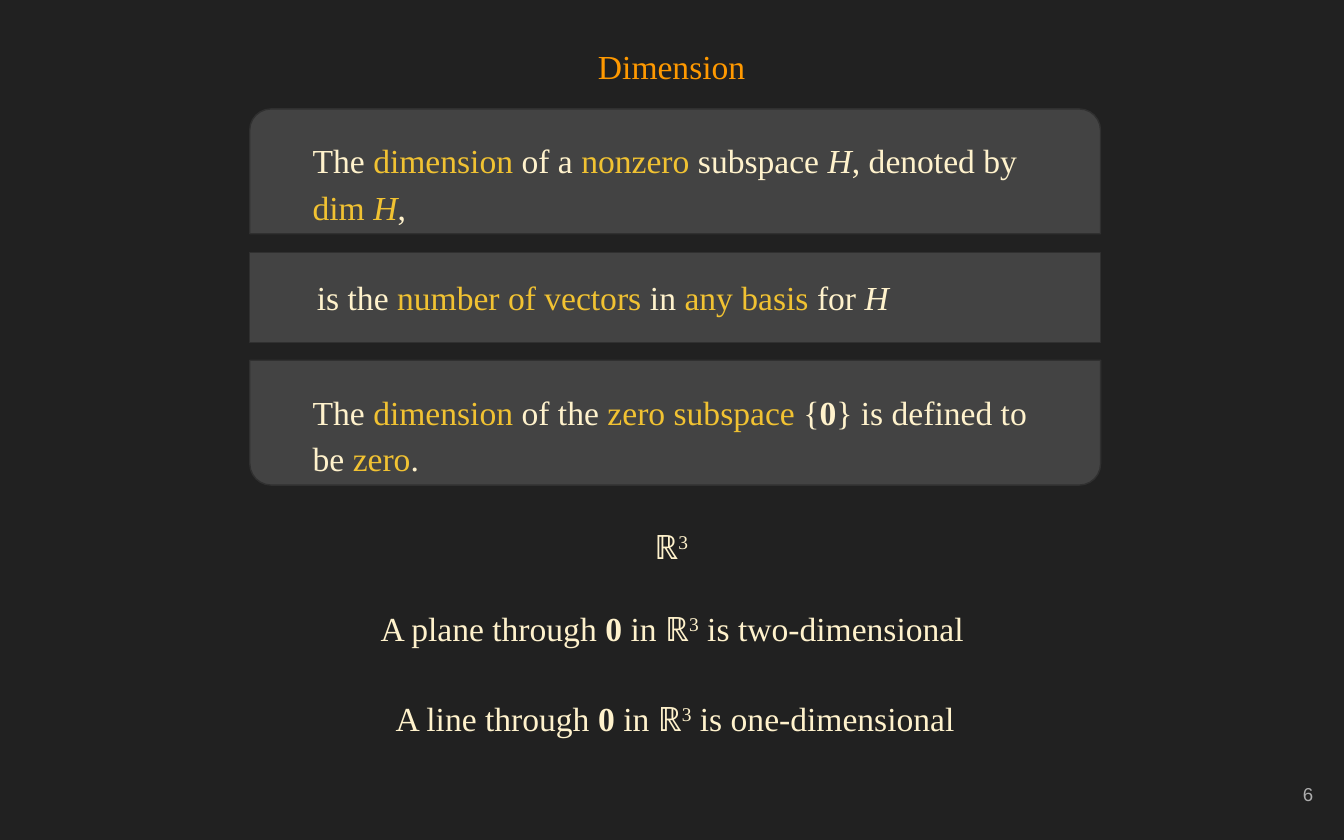
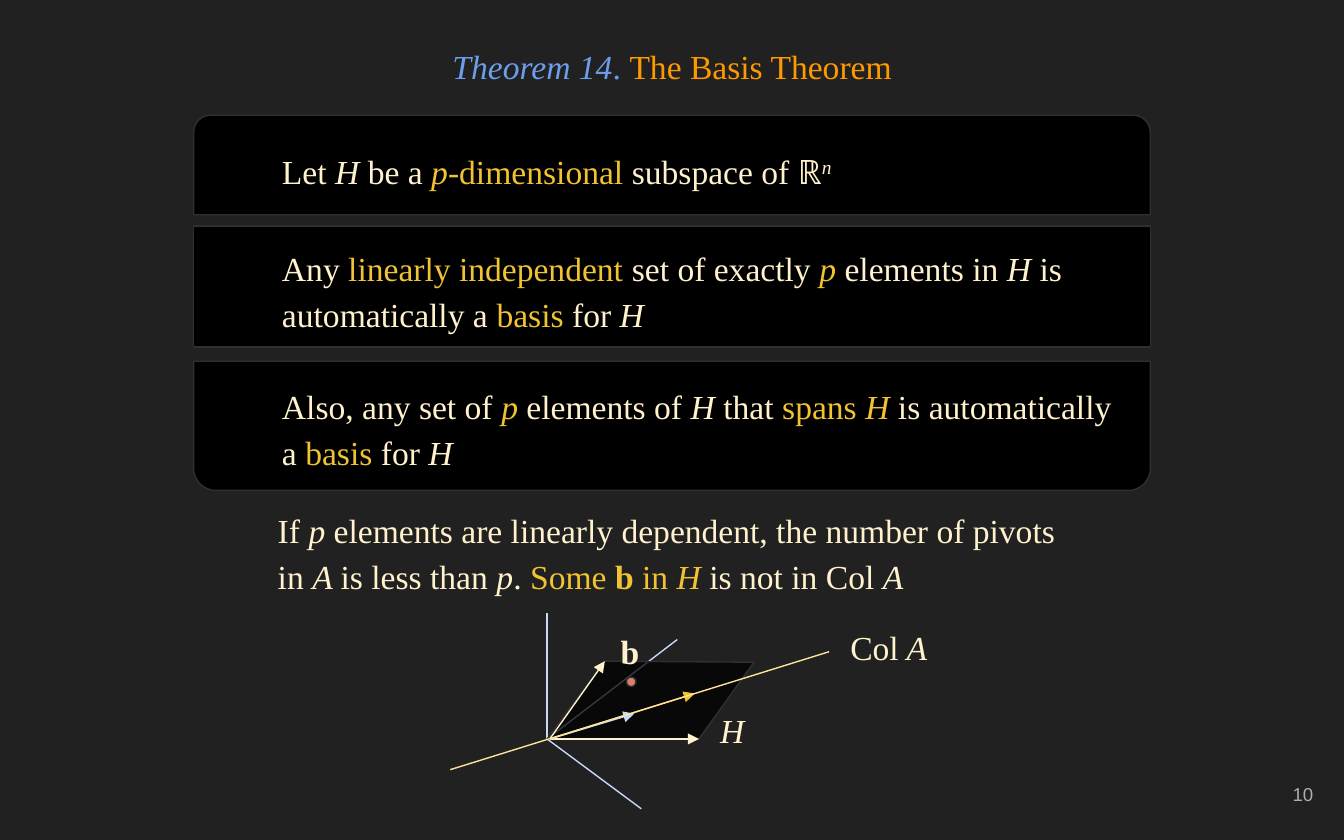
from lxml import etree
from pptx import Presentation
from pptx.dml.color import RGBColor
from pptx.enum.shapes import MSO_CONNECTOR, MSO_SHAPE
from pptx.enum.text import MSO_ANCHOR, PP_ALIGN
from pptx.oxml.ns import qn
from pptx.util import Cm, Pt

LEFT, CENTER, RIGHT = PP_ALIGN.LEFT, PP_ALIGN.CENTER, PP_ALIGN.RIGHT
TOP, MIDDLE = MSO_ANCHOR.TOP, MSO_ANCHOR.MIDDLE
RECTANGLE, OVAL = MSO_SHAPE.RECTANGLE, MSO_SHAPE.OVAL
ROUND_TOP = MSO_SHAPE.ROUND_2_SAME_RECTANGLE
STRAIGHT = MSO_CONNECTOR.STRAIGHT

COLORS = {
    "background": "212121", "number": "ADADAD", "title": "FF9900",
    "theorem": "6D9EEB", "text": "FFF2CC", "key": "F1C232",
    "gray": "434343", "black": "000000", "outline": "303030",
    "axis": "C9DAF8", "span": "FFE599", "dot": "DD7E6B",
}
# One letter per trait of a run: a colour, or italic, bold, superscript
RUN_COLORS = {"k": "key", "t": "title", "h": "theorem"}
BLANK = 6

# Lengths are in centimetres; boxes are left, top, width, height.
# A band is top, height, text box, runs.
DIMENSION = {
    "number": "6",
    "title": ((0.86, 0.51, 23.67, 1.22), [("Dimension", "t")]),
    "title_style": {},
    "band_fill": "gray",
    "band_left": 4.72,
    "band_width": 16.08,
    "bands": [
        (2.06, 2.36, (5.66, 2.29, 14.07, 1.7), [
            ("The ", ""), ("dimension ", "k"), ("of a ", ""), ("nonzero ", "k"),
            ("subspace ", ""), ("H", "i"), (", denoted by ", ""),
            ("dim ", "k"), ("H", "ki"), (",", "")]),
        (4.78, 1.7, (5.74, 4.88, 14.07, 1.7), [
            ("is the ", ""), ("number of vectors", "k"), (" in ", ""),
            ("any basis", "k"), (" for ", ""), ("H", "i")]),
        (6.81, 2.36, (5.66, 7.04, 14.07, 1.7), [
            ("The ", ""), ("dimension ", "k"), ("of the ", ""),
            ("zero subspace", "k"), (" {", ""), ("0", "b"),
            ("} is defined to be ", ""), ("zero", "k"), (".", "")]),
    ],
    "notes": [
        ((12.12, 9.58, 1.32, 1.7), LEFT, [("ℝ", ""), ("3", "s")]),
        ((6.71, 11.13, 11.99, 1.7), CENTER, [
            ("A plane through ", ""), ("0", "b"), (" in ℝ", ""), ("3", "s"),
            (" is two-dimensional", "")]),
        ((5.51, 12.83, 14.5, 1.7), CENTER, [
            ("A line through ", ""), ("0", "b"), (" in ℝ", ""), ("3", "s"),
            (" is one-dimensional", "")]),
    ],
}

BASIS_THEOREM = {
    "number": "10",
    "title": ((3.51, 0.51, 18.39, 1.47), [
        ("Theorem 14", "hi"), (". ", "h"), ("The Basis Theorem", "t")]),
    "title_style": {"anchor": MIDDLE, "spacing": 1.0},
    "band_fill": "black",
    "band_left": 3.66,
    "band_width": 18.08,
    "bands": [
        (2.18, 1.88, (5.08, 2.49, 11.4, 1.7), [
            ("Let ", ""), ("H", "i"), (" be a ", ""), ("p", "ki"),
            ("-dimensional", "k"), (" subspace of ℝ", ""), ("n", "is")]),
        (4.27, 2.29, (5.08, 4.32, 15.44, 1.7), [
            ("Any ", ""), ("linearly independent", "k"),
            (" set of exactly ", ""), ("p", "ki"), (" elements in ", ""),
            ("H", "i"), (" is automatically a ", ""), ("basis", "k"),
            (" for ", ""), ("H", "i")]),
        (6.83, 2.44, (5.08, 6.93, 16.23, 1.7), [
            ("Also, any set of ", ""), ("p", "ki"), (" elements of ", ""),
            ("H", "i"), (" that ", ""), ("spans ", "k"), ("H", "ki"),
            (" is automatically a ", ""), ("basis ", "k"), ("for ", ""),
            ("H", "i")]),
    ],
    "notes": [
        ((5, 9.27, 15.7, 2.29), LEFT, [
            ("If ", ""), ("p", "i"),
            (" elements are linearly dependent, the number of pivots in ", ""),
            ("A ", "i"), ("is less than ", ""), ("p", "i"), (". ", ""),
            ("Some ", "k"), ("b", "kb"), (" in ", "k"), ("H", "ki"),
            (" is not in Col ", ""), ("A", "i")]),
    ],
}

ORIGIN = (10.34, 13.97)
ARROW_START = (10.39, 13.97)
AXIS_ENDS = [(10.34, 11.58), (12.12, 15.29), (12.8, 12.09)]
PLANE = [ORIGIN, (13.21, 13.97), (14.25, 12.52), (11.43, 12.5)]
PLANE_OPACITY = 74
PLANE_EDGES = [PLANE[1], PLANE[3]]
VECTORS = [((13.13, 13.11), "key"), ((11.99, 13.49), "axis")]
COLUMN_SPACE = ((8.51, 14.55), (15.67, 12.32))
POINT_B = (11.84, 12.8, 0.18, 0.18)
LABELS = [
    ((13.36, 13.06, 1.14, 1.32), LEFT, [("H", "i")]),
    ((15.82, 11.48, 2.26, 1.32), LEFT, [("Col", ""), (" A", "i")]),
    ((11.48, 11.56, 0.84, 0.76), LEFT, [("b", "b")]),
]


def rgb(name):
    return RGBColor.from_string(COLORS[name])


def cm(values):
    return [Cm(value) for value in values]


def add_text(shapes, box, runs, align=LEFT, anchor=TOP, spacing=1.15,
             after=16, size=18, font="Times New Roman", color="text"):
    frame = shapes.add_textbox(*cm(box)).text_frame
    frame.word_wrap = True
    frame.vertical_anchor = anchor
    frame.margin_left = frame.margin_right = Cm(0.25)
    frame.margin_top = frame.margin_bottom = Cm(0.25)
    paragraph = frame.paragraphs[0]
    paragraph.alignment = align
    paragraph.line_spacing = spacing
    paragraph.space_after = Pt(after)
    for text, traits in runs:
        run = paragraph.add_run()
        run.text = text
        run.font.name = font
        run.font.size = Pt(size)
        run.font.italic = "i" in traits
        run.font.bold = "b" in traits
        names = [RUN_COLORS[trait] for trait in traits if trait in RUN_COLORS]
        run.font.color.rgb = rgb(names[0] if names else color)
        if "s" in traits:
            run._r.get_or_add_rPr().set("baseline", "30000")


def paint(shape, fill):
    """Give a shape its fill and the thin outline all shapes share."""
    shape.shadow.inherit = False
    shape.fill.solid()
    shape.fill.fore_color.rgb = rgb(fill)
    shape.line.color.rgb = rgb("outline")
    shape.line.width = Pt(0.75)


def add_line(shapes, start, end, color, arrow=False):
    line = shapes.add_connector(STRAIGHT, *cm(start + end))
    line.line.color.rgb = rgb(color)
    line.line.width = Pt(0.75)
    properties = line._element.spPr
    if arrow:
        outline = properties.find(qn("a:ln"))
        etree.SubElement(outline, qn("a:tailEnd"), type="triangle")
    etree.SubElement(properties, qn("a:effectLst"))


def add_bands(slide, content):
    """Stack the bands: first rounded on top, last rounded below."""
    last = len(content["bands"]) - 1
    for index, (top, height, box, runs) in enumerate(content["bands"]):
        shapes = slide.shapes.add_group_shape().shapes
        kind = ROUND_TOP if index in (0, last) else RECTANGLE
        band = shapes.add_shape(kind, *cm(
            (content["band_left"], top, content["band_width"], height)))
        if kind == ROUND_TOP:
            band.adjustments[0] = 0.17
        if index == last:
            band.rotation = 180
        paint(band, content["band_fill"])
        add_text(shapes, box, runs)


def add_plane(slide):
    points = [tuple(cm(point)) for point in PLANE]
    builder = slide.shapes.build_freeform(*points[0])
    builder.add_line_segments(points[1:], close=True)
    plane = builder.convert_to_shape()
    paint(plane, "black")
    color = plane._element.spPr.find(qn("a:solidFill"))[0]
    etree.SubElement(color, qn("a:alpha"), val=str(PLANE_OPACITY * 1000))


def add_subspace_diagram(slide):
    axes = slide.shapes.add_group_shape().shapes
    for end in AXIS_ENDS:
        add_line(axes, ORIGIN, end, "axis")
    add_plane(slide)
    edges = slide.shapes.add_group_shape().shapes
    for end in PLANE_EDGES:
        add_line(edges, ARROW_START, end, "text", arrow=True)
    paint(slide.shapes.add_shape(OVAL, *cm(POINT_B)), "dot")
    for end, color in VECTORS:
        add_line(slide.shapes, ARROW_START, end, color, arrow=True)
    add_line(slide.shapes, *COLUMN_SPACE, "span")
    add_notes(slide, LABELS)


def add_notes(slide, notes):
    for box, align, runs in notes:
        add_text(slide.shapes, box, runs, align)


def add_slide(presentation, content):
    slide = presentation.slides.add_slide(presentation.slide_layouts[BLANK])
    add_text(slide.shapes, (23.55, 14.4, 1.52, 1.22), [(content["number"], "")],
             RIGHT, MIDDLE, spacing=1.0, after=0, size=10, font="Arial",
             color="number")
    box, runs = content["title"]
    add_text(slide.shapes, box, runs, CENTER, **content["title_style"])
    add_bands(slide, content)
    add_notes(slide, content["notes"])
    return slide


def main():
    presentation = Presentation()
    presentation.slide_width, presentation.slide_height = Cm(25.4), Cm(15.88)
    background = presentation.slide_master.background.fill
    background.solid()
    background.fore_color.rgb = rgb("background")
    add_slide(presentation, DIMENSION)
    add_subspace_diagram(add_slide(presentation, BASIS_THEOREM))
    presentation.save("out.pptx")


if __name__ == "__main__":
    main()
